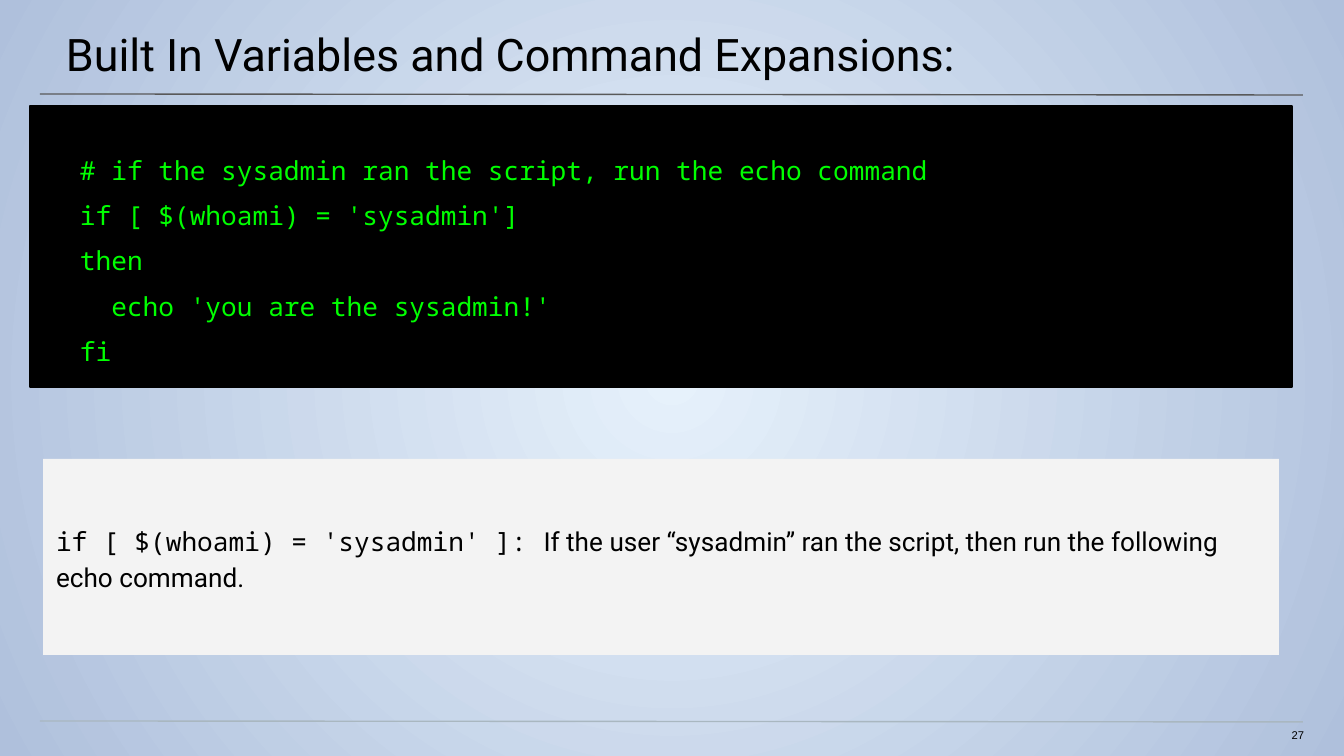
from lxml import etree
from pptx import Presentation
from pptx.dml.color import RGBColor as RGB
from pptx.enum.shapes import MSO_CONNECTOR as CONN, MSO_SHAPE as SHAPE
from pptx.enum.text import MSO_ANCHOR as ANCHOR, PP_ALIGN as ALIGN
from pptx.oxml.ns import qn
from pptx.util import Pt

PX = 914400 / 134.4
COLORS = {
    "glow": "E6F1FB", "edge": "AFC0DC", "title_rule": "595959",
    "footer_rule": "A9B7C0", "black": "000000", "code": "00FF00", "note": "F3F3F3",
}
CODE = [
    "# if the sysadmin ran the script, run the echo command",
    "if [ $(whoami) = 'sysadmin']",
    "then",
    "  echo 'you are the sysadmin!'",
    "fi",
]


def add_box(box, margins, fill=None, anchor=ANCHOR.TOP):
    """Add a rectangle or, without a fill, a text box; return it and its text frame."""
    box = [round(v * PX) for v in box]
    if fill:
        sp = s.shapes.add_shape(SHAPE.RECTANGLE, *box)
        sp.shadow.inherit = False
        sp.fill.solid()
        sp.fill.fore_color.rgb = RGB.from_string(COLORS[fill])
        sp.line.fill.background()
    else:
        sp = s.shapes.add_textbox(*box)
    tf = sp.text_frame
    tf.word_wrap = True
    tf.vertical_anchor = anchor
    tf.margin_left, tf.margin_top, tf.margin_right, tf.margin_bottom = [
        round(v * PX) for v in margins]
    return sp, tf


def add_run(p, text, size, font, color="black"):
    r = p.add_run()
    r.text = text
    r.font.size = Pt(size)
    r.font.name = font
    r.font.color.rgb = RGB.from_string(COLORS[color])


prs = Presentation()
prs.slide_width, prs.slide_height = round(1344 * PX), round(756 * PX)
s = prs.slides.add_slide(prs.slide_layouts[6])

# Background: circular gradient from the centre
fill = s.background.fill
fill.gradient()
for stop, position, name in zip(fill.gradient_stops, (0, 1), ("glow", "edge")):
    stop.position = position
    stop.color.rgb = RGB.from_string(COLORS[name])
grad = s.background._cSld.find(".//" + qn("a:gradFill"))
grad.remove(grad.find(qn("a:lin")))
path = etree.SubElement(grad, qn("a:path"), {"path": "circle"})
etree.SubElement(path, qn("a:fillToRect"), dict.fromkeys("ltrb", "50000"))

# Rules under the title and above the footer
for y, name in ((94, "title_rule"), (721, "footer_rule")):
    rule = s.shapes.add_connector(
        CONN.STRAIGHT, *[round(v * PX) for v in (40, y, 1303, y + 1)])
    rule.line.color.rgb = RGB.from_string(COLORS[name])
    rule.line.width = Pt(0.75)
    etree.SubElement(rule._element.spPr, qn("a:effectLst"))

# Title
sp, tf = add_box((-1, 0, 1348, 78), (67, 27, 40, 13))
add_run(tf.paragraphs[0], "Built In Variables and Command Expansions:", 24, "Roboto")

# Code panel
sp, tf = add_box((30, 106, 1262, 281), (27, 27, 13, 13), "black", ANCHOR.MIDDLE)
sp.line.color.rgb = RGB.from_string(COLORS["black"])
sp.line.width = Pt(0.75)
for i, line in enumerate(CODE):
    p = tf.add_paragraph() if i else tf.paragraphs[0]
    p._p.get_or_add_pPr().set("marL", str(round(23 * PX)))
    p.alignment = ALIGN.LEFT
    p.line_spacing = 1.45
    add_run(p, line, 14, "Noto Sans Mono", "code")

# Slide number
sp, tf = add_box((1265, 728, 39, 16), (0, 0, 0, 13))
p = tf.paragraphs[0]
p.alignment = ALIGN.RIGHT
add_run(p, "27", 6, "Arial")

# Explanation
sp, tf = add_box((43, 459, 1236, 196), (13, 13, 13, 13), "note", ANCHOR.MIDDLE)
p = tf.paragraphs[0]
p.alignment = ALIGN.LEFT
p.line_spacing = 1.15
p.space_after = Pt(12)
add_run(p, "if [ $(whoami) = 'sysadmin' ]: ", 14, "Noto Sans Mono")
add_run(p, "If the user “sysadmin” ran the script, then run the following echo command.",
        14, "Roboto")

prs.save("out.pptx")
